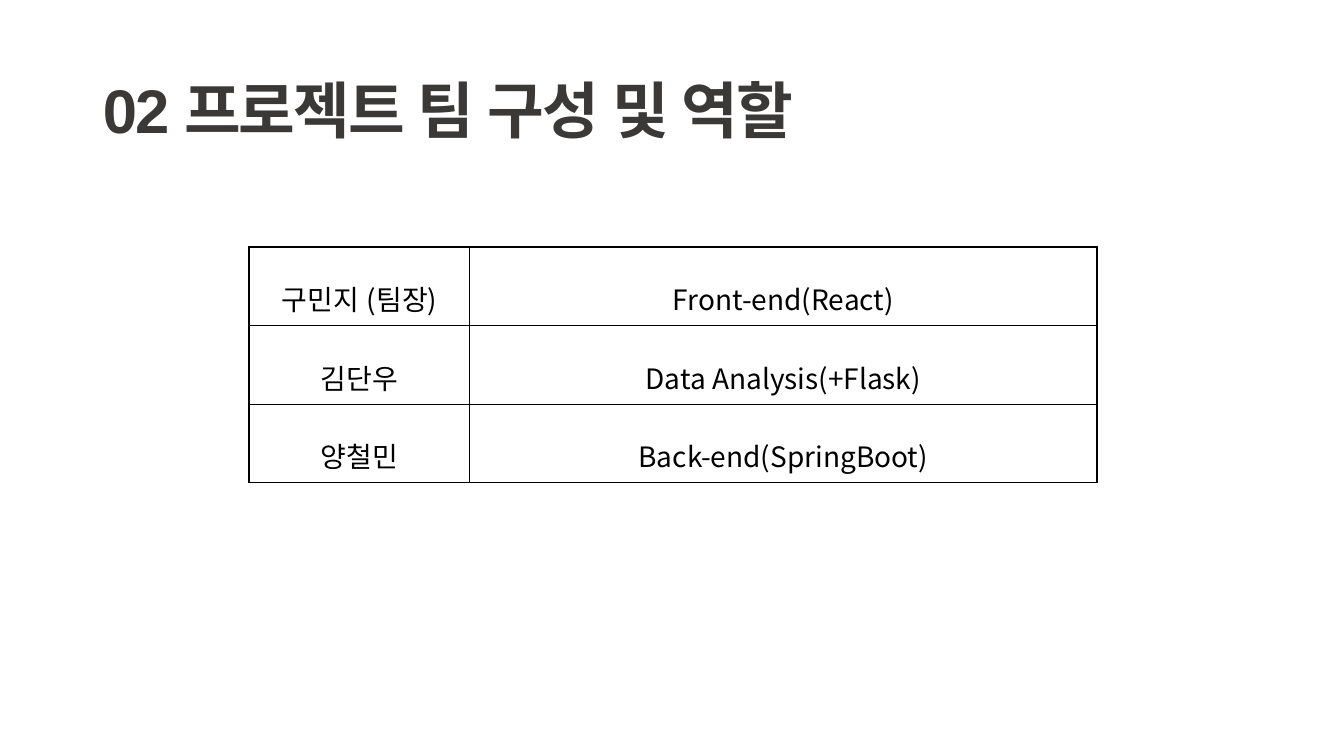
from lxml import etree
from pptx import Presentation
from pptx import util as u
from pptx.dml.color import RGBColor
from pptx.enum import lang, text
from pptx.oxml import ns

PX = 9144  # EMU per px, 100 px to the inch
HEX = {"title": "3B3838", "text": "000000", "line": "000000", "back": "FFFFFF"}
HEAD = {"size": u.Pt(44), "name": "Arial", "bold": True}
BODY = {"size": u.Pt(20), "name": "Noto Sans CJK KR", "bold": False}
ASIAN = "Noto Sans CJK KR"
TEAM = [
    ("구민지 (팀장)", "Front-end(React)"),
    ("김단우", "Data Analysis(+Flask)"),
    ("양철민", "Back-end(SpringBoot)"),
]


def put(item, vals):
    for key, val in vals.items():
        setattr(item, key, val)


class Deck:
    def __init__(self, wide, high):
        self.prs = Presentation()
        put(self.prs, {"slide_width": wide * PX, "slide_height": high * PX})
        self.slide = self.prs.slides.add_slide(self.prs.slide_layouts[5])
        fill = self.slide.background.fill
        fill.solid()
        fill.fore_color.rgb = RGBColor.from_string(HEX["back"])

    def label(self, frame, words, style, color, align, space):
        """Fill a text frame with one formatted paragraph."""
        para = frame.paragraphs[0]
        put(para, {"alignment": align, "line_spacing": space, "space_before": u.Pt(0)})
        run = para.add_run()
        run.text = words
        put(run.font, style)
        run.font.language_id = lang.MSO_LANGUAGE_ID.KOREAN
        run.font.color.rgb = RGBColor.from_string(HEX[color])
        props = run._r.get_or_add_rPr()
        asian = etree.Element(ns.qn("a:ea"), typeface=ASIAN)
        props.find(ns.qn("a:latin")).addnext(asian)
        return props

    def title(self, words, x, y, w, h):
        box = self.slide.shapes.title
        put(box, {"left": x * PX, "top": y * PX, "width": w * PX, "height": h * PX})
        put(box.text_frame, {"word_wrap": True, "auto_size": text.MSO_AUTO_SIZE.NONE,
                             "vertical_anchor": text.MSO_ANCHOR.MIDDLE})
        props = self.label(box.text_frame, words, HEAD, "title", text.PP_ALIGN.LEFT, 0.9)
        props.set("spc", "-150")

    def border(self, cell):
        props = cell._tc.get_or_add_tcPr()
        for spot, side in enumerate("LRTB"):
            line = etree.Element(ns.qn(f"a:ln{side}"), w=str(u.Pt(1)))
            fill = etree.SubElement(line, ns.qn("a:solidFill"))
            etree.SubElement(fill, ns.qn("a:srgbClr"), val=HEX["line"])
            props.insert(spot, line)

    def table(self, rows, x, y, cols, high):
        frame = self.slide.shapes.add_table(
            len(rows), len(cols), x * PX, y * PX, sum(cols) * PX, len(rows) * high * PX)
        grid = frame.table
        put(grid, {"first_row": False, "horz_banding": False})
        for col, wide in zip(grid.columns, cols):
            col.width = wide * PX
        for row, words in zip(grid.rows, rows):
            row.height = high * PX
            for cell, word in zip(row.cells, words):
                put(cell, {"margin_left": 7 * PX, "margin_right": 7 * PX,
                           "margin_top": 0, "margin_bottom": 0,
                           "vertical_anchor": text.MSO_ANCHOR.MIDDLE})
                cell.fill.background()
                self.border(cell)
                self.label(cell.text_frame, word, BODY, "text", text.PP_ALIGN.CENTER, 1.6)


def main():
    deck = Deck(1333, 750)
    # Heading
    deck.title("02 프로젝트 팀 구성 및 역할", 92, 40, 1150, 145)
    # Members and roles
    deck.table(TEAM, 247, 245, (219, 622), 78)
    deck.prs.save("out.pptx")


if __name__ == "__main__":
    main()
